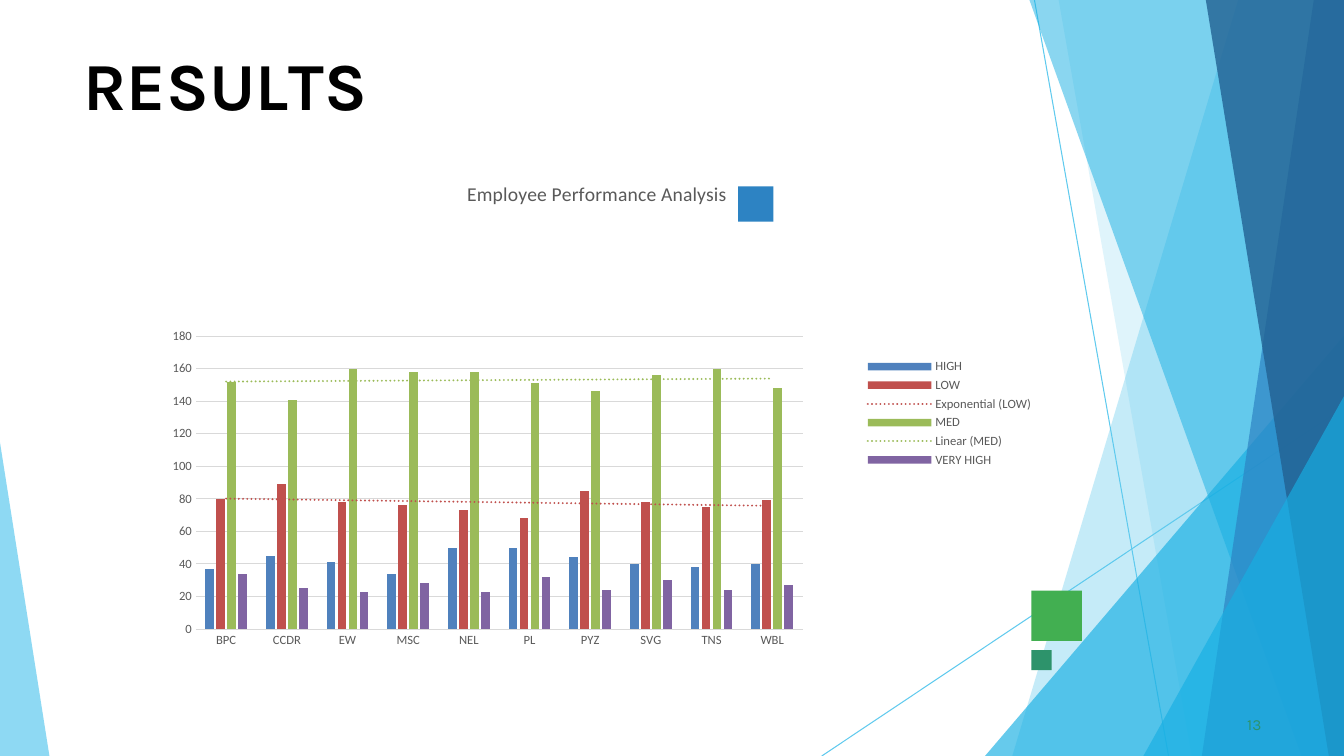
from dataclasses import dataclass

from lxml import etree
from pptx import Presentation
from pptx import util as u
from pptx.chart import data as chart_data
from pptx.dml import color as dml
from pptx.enum import chart as chart_enum
from pptx.enum import shapes, text
from pptx.oxml import ns, parse_xml

COLUMNS, ROWS = 13.33, 7.5
CELL = u.Inches(1)
COLORS = {
    "sky": "5FCAEE", "cyan": "17AFE3", "blue": "2D83C3", "navy": "226192",
    "green": "42AF51", "teal": "2D936B", "black": "000000",
    "label": "595959", "rule": "D9D9D9",
    "high": "4F81BD", "low": "C0504D", "med": "9BBB59", "very_high": "8064A2",
}
Point = tuple[float, float]


@dataclass
class Ray:
    start: Point
    end: Point


@dataclass
class Facet:
    corners: list[Point]
    color: str
    opacity: int


@dataclass
class Square:
    left: float
    top: float
    side: float
    color: str


@dataclass
class Label:
    left: float
    top: float
    width: float
    height: float
    size: float
    color: str
    bold: bool
    space_before: float
    spans: list[tuple[str, float]]


@dataclass
class Rating:
    name: str
    values: list[int]
    color: str
    trend: str = ""


def band(top: float, bottom: float) -> list[Point]:
    return [(COLUMNS, 0), (top, 0), (bottom, ROWS), (COLUMNS, ROWS)]


def wedge(top: float, left: float) -> list[Point]:
    return [(COLUMNS, top), (left, ROWS), (COLUMNS, ROWS)]


RAYS = [Ray((10.26, 0), (11.59, ROWS)), Ray((COLUMNS, 4.04), (8.15, ROWS))]
FACETS = [
    Facet(band(12.28, 10.04), "sky", 36),
    Facet(band(10.5, 11.82), "sky", 20),
    Facet(wedge(3.33, 9.77), "cyan", 66),
    Facet(band(10.21, 12.91), "cyan", 50),
    Facet(band(13.03, 11.92), "blue", 70),
    Facet(band(11.96, 13.18), "navy", 80),
    Facet(wedge(3.93, 11.34), "cyan", 66),
    Facet([(0, 4.39), (0, ROWS), (0.49, ROWS)], "sky", 70),
]
SQUARES = [
    Square(10.23, 5.86, 0.5, "green"),
    Square(7.32, 1.85, 0.35, "blue"),
    Square(10.23, 6.45, 0.2, "teal"),
]
LABELS = [
    Label(0.83, 0.42, 9.63, 0.81, 48, "black", True, 1.1,
          [("R", 0), ("E", -0.4), ("S", 0.1), ("U", -0.3), ("L", -4), ("TS", 0)]),
    Label(12.37, 7.08, 0.25, 0.21, 11, "teal", False, 0.6, [("13", 0.1)]),
]
UNITS = ["BPC", "CCDR", "EW", "MSC", "NEL", "PL", "PYZ", "SVG", "TNS", "WBL"]
RATINGS = [
    Rating("HIGH", [37, 45, 41, 34, 50, 50, 44, 40, 38, 40], "high"),
    Rating("LOW", [80, 89, 78, 76, 73, 68, 85, 78, 75, 79], "low", "exp"),
    Rating("MED", [152, 141, 160, 158, 158, 151, 146, 156, 160, 148], "med", "linear"),
    Rating("VERY HIGH", [34, 25, 23, 28, 23, 32, 24, 30, 24, 27], "very_high"),
]


def grid(cells: float) -> u.Emu:
    return u.Emu(round(cells * CELL))


def rgb(name: str) -> dml.RGBColor:
    return dml.RGBColor.from_string(COLORS[name])


def chart_xml(markup: str):
    return parse_xml(markup.replace(">", f' {ns.nsdecls("c", "a")}>', 1))


def paint(shape, color: str) -> None:
    shape.shadow.inherit = False
    shape.fill.solid()
    shape.fill.fore_color.rgb = rgb(color)
    shape.line.fill.background()


def draw_ray(page, ray: Ray) -> None:
    line = page.shapes.add_connector(
        shapes.MSO_CONNECTOR.STRAIGHT, *map(grid, ray.start + ray.end))
    line.line.color.rgb = rgb("sky")
    line.line.width = u.Pt(0.75)
    etree.SubElement(line.element.spPr, ns.qn("a:effectLst"))


def draw_facet(page, facet: Facet) -> None:
    first, *rest = [(grid(x), grid(y)) for x, y in facet.corners]
    builder = page.shapes.build_freeform(*first)
    builder.add_line_segments(rest, close=True)
    shape = builder.convert_to_shape()
    paint(shape, facet.color)
    fill = shape.element.xpath("./p:spPr/a:solidFill/a:srgbClr")[0]
    etree.SubElement(fill, ns.qn("a:alpha"), val=str(facet.opacity * 1000))


def draw_square(page, square: Square) -> None:
    shape = page.shapes.add_shape(
        shapes.MSO_SHAPE.RECTANGLE,
        *map(grid, (square.left, square.top, square.side, square.side)))
    paint(shape, square.color)


def draw_label(page, label: Label) -> None:
    box = page.shapes.add_textbox(
        *map(grid, (label.left, label.top, label.width, label.height)))
    frame = box.text_frame
    frame.word_wrap = True
    frame.auto_size = text.MSO_AUTO_SIZE.SHAPE_TO_FIT_TEXT
    frame.margin_left = frame.margin_right = frame.margin_bottom = 0
    frame.margin_top = grid(0.01)
    para = frame.paragraphs[0]
    para.space_before = u.Pt(label.space_before)
    for words, spacing in label.spans:
        span = para.add_run()
        span.text = words
        set_font(span.font, "Karla", label.size, label.color, label.bold)
        box.element.xpath(".//a:rPr")[-1].set("spc", str(round(spacing * 100)))


def set_font(font, name: str, size: float, color: str, bold: bool = False) -> None:
    font.name = name
    font.size = u.Pt(size)
    font.bold = bold
    font.color.rgb = rgb(color)


def layout_xml(left: float, top: float, size: str = "", target: str = ""):
    return chart_xml(
        f'<c:layout><c:manualLayout>{target}<c:xMode val="edge"/><c:yMode val="edge"/>'
        f'<c:x val="{left}"/><c:y val="{top}"/>{size}</c:manualLayout></c:layout>')


def trend_xml(rating: Rating):
    return chart_xml(
        f'<c:trendline><c:spPr><a:ln w="{u.Pt(1.5)}" cap="rnd"><a:solidFill>'
        f'<a:srgbClr val="{COLORS[rating.color]}"/></a:solidFill>'
        f'<a:prstDash val="sysDot"/></a:ln></c:spPr>'
        f'<c:trendlineType val="{rating.trend}"/>'
        f'<c:dispRSqr val="0"/><c:dispEq val="0"/></c:trendline>')


def draw_chart(page) -> None:
    table = chart_data.CategoryChartData()
    table.categories = UNITS
    for rating in RATINGS:
        table.add_series(rating.name, rating.values)
    chart = page.shapes.add_chart(
        chart_enum.XL_CHART_TYPE.COLUMN_CLUSTERED,
        *map(grid, (1.5, 1.55, 8.85, 5.1)), table).chart
    set_font(chart.font, "Calibri", 10, "black")

    chart.has_title = True
    span = chart.chart_title.text_frame.paragraphs[0].add_run()
    span.text = "Employee Performance Analysis"
    set_font(span.font, "Calibri", 14, "label")
    chart.has_legend = True
    chart.legend.position = chart_enum.XL_LEGEND_POSITION.RIGHT
    chart.legend.include_in_layout = False
    set_font(chart.legend.font, "Calibri", 9, "label")

    for axis in (chart.category_axis, chart.value_axis):
        axis.major_tick_mark = axis.minor_tick_mark = chart_enum.XL_TICK_MARK.NONE
        set_font(axis.tick_labels.font, "Calibri", 9, "label")
    chart.value_axis.format.line.fill.background()
    chart.value_axis.has_major_gridlines = True
    for ruled in (chart.category_axis, chart.value_axis.major_gridlines):
        ruled.format.line.color.rgb = rgb("rule")
        ruled.format.line.width = u.Pt(0.75)

    plot = chart.plots[0]
    plot.gap_width, plot.overlap, plot.vary_by_categories = 219, -27, False
    for series, node, rating in zip(plot.series, chart.element.xpath(".//c:ser"), RATINGS):
        series.format.fill.solid()
        series.format.fill.fore_color.rgb = rgb(rating.color)
        if rating.trend:
            node.find(ns.qn("c:cat")).addprevious(trend_xml(rating))

    for old in chart.element.xpath(".//c:title/c:layout | .//c:plotArea/c:layout"):
        old.getparent().remove(old)
    chart.element.xpath("./c:chart/c:title/c:tx")[0].addnext(layout_xml(0.35, 0.04))
    area = chart.element.xpath(".//c:plotArea")[0]
    area.insert(0, layout_xml(0.05, 0.35, '<c:w val="0.68"/><c:h val="0.57"/>',
                              '<c:layoutTarget val="inner"/>'))
    clear = "<c:spPr><a:noFill/><a:ln><a:noFill/></a:ln></c:spPr>"
    area.append(chart_xml(clear))
    chart.element.xpath("./c:chart")[0].addnext(chart_xml(clear))


def main() -> None:
    deck = Presentation()
    deck.slide_width, deck.slide_height = grid(COLUMNS), grid(ROWS)
    page = deck.slides.add_slide(deck.slide_layouts[6])
    for items, draw in ((RAYS, draw_ray), (FACETS, draw_facet),
                        (SQUARES, draw_square), (LABELS, draw_label)):
        for item in items:
            draw(page, item)
    draw_chart(page)
    deck.save("out.pptx")


if __name__ == "__main__":
    main()
